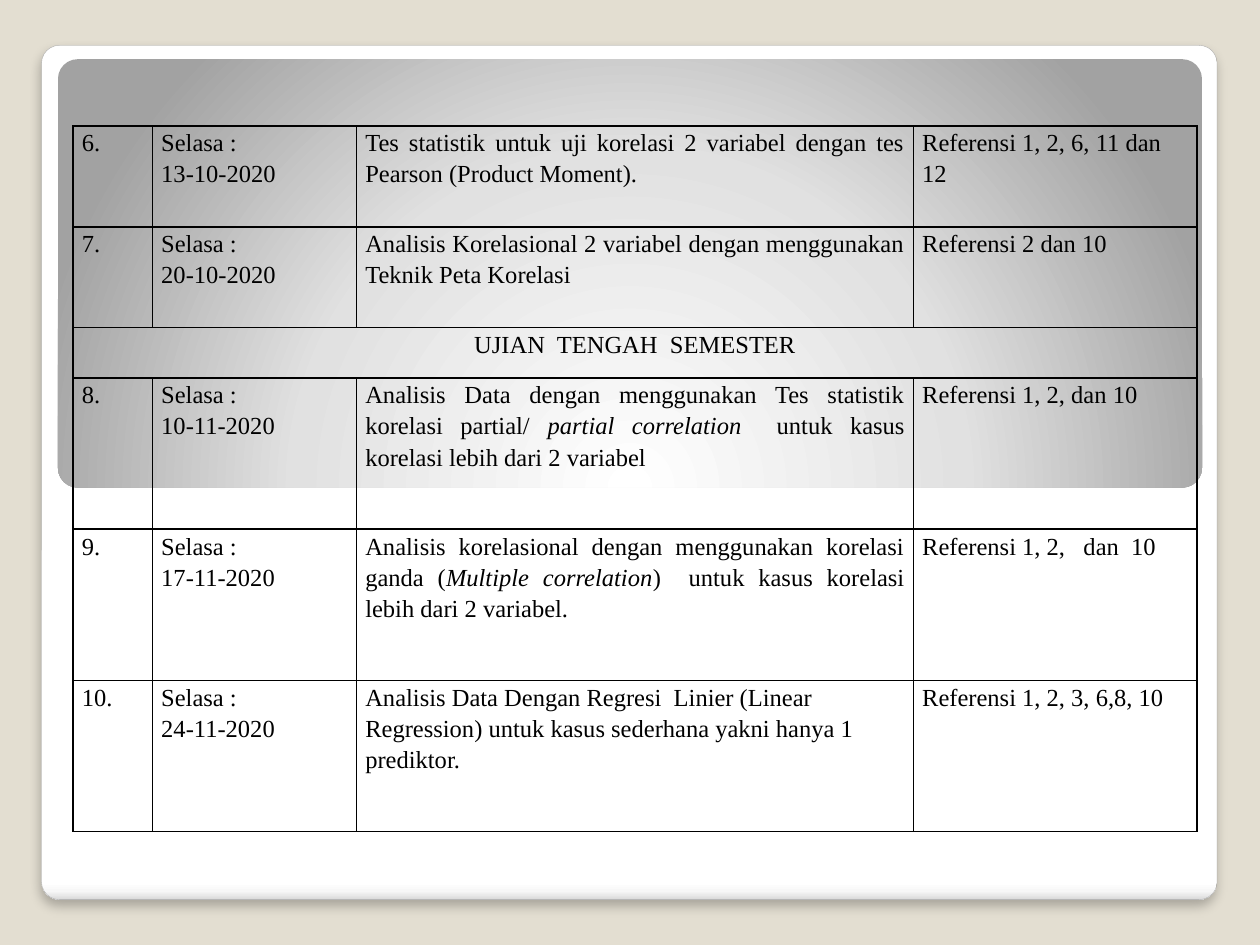
"""Build the lecture schedule slide with weeks 6 to 10 and the midterm exam row."""
from lxml.etree import SubElement
from pptx import Presentation
from pptx.dml.color import RGBColor
from pptx.enum.shapes import MSO_SHAPE
from pptx.enum.text import PP_ALIGN
from pptx.oxml import parse_xml
from pptx.oxml.ns import nsdecls, qn
from pptx.util import Inches, Pt

BEIGE = RGBColor(0xE3, 0xDE, 0xD1)
GREY = RGBColor(0xA4, 0xA4, 0xA4)
BLACK = RGBColor(0, 0, 0)
FONT = "Times New Roman"


def add_panel(s, box, radius, stops, direction):
    sp = s.shapes.add_shape(MSO_SHAPE.ROUNDED_RECTANGLE, *map(Inches, box))
    sp.adjustments[0] = radius
    sp.shadow.inherit = False
    sp.line.fill.background()
    gs = "".join(f'<a:gs pos="{pos * 1000}"><a:srgbClr val="{color}"/></a:gs>' for pos, color in stops)
    grad = parse_xml(f'<a:gradFill {nsdecls("a")} rotWithShape="1"><a:gsLst>{gs}</a:gsLst>{direction}</a:gradFill>')
    sp._element.spPr.find(qn("a:prstGeom")).addnext(grad)
    return sp


def add_borders(cell):
    tcPr = cell._tc.get_or_add_tcPr()
    for side in ("lnL", "lnR", "lnT", "lnB"):
        ln = SubElement(tcPr, qn(f"a:{side}"), w=str(Pt(1)))
        fill = SubElement(ln, qn("a:solidFill"))
        SubElement(fill, qn("a:srgbClr"), val=str(BLACK))


prs = Presentation()
prs.slide_width, prs.slide_height = Inches(10), Inches(7.5)
s = prs.slides.add_slide(prs.slide_layouts[6])
s.background.fill.solid()
s.background.fill.fore_color.rgb = BEIGE

card = add_panel(s, (0.33, 0.36, 9.33, 6.78), 0.021,
                 [(0, "FFFFFF"), (98, "FFFFFF"), (99, "F7F7F7"), (100, "DADADA")],
                 '<a:lin ang="5400000" scaled="0"/>')
card.line.color.rgb = GREY
card.line.width = Pt(0.16)
effects = card._element.spPr.find(qn("a:effectLst"))
shadow = SubElement(effects, qn("a:outerShdw"), blurRad=str(Pt(6)), dist=str(Pt(4)),
                    dir="5400000", algn="tl", rotWithShape="0")
SubElement(SubElement(shadow, qn("a:srgbClr"), val=str(BLACK)), qn("a:alpha"), val="25000")

add_panel(s, (0.46, 0.47, 9.08, 3.4), 0.046,
          [(0, "FFFFFF"), (55, "E1E1E1"), (100, "A2A2A2")],
          '<a:path path="circle"><a:fillToRect l="50000" t="175000" r="50000" b="-75000"/></a:path>')

COLS = [0.63, 1.62, 4.42, 2.25]
ROWS = [0.8, 0.8, 0.4, 1.2, 1.2, 1.2]
EXAM_ROW = 2
LEFT_ALIGNED = {(0, 3), (5, 2)}
SCHEDULE = [
    ("6.", "Selasa :\n13-10-2020",
     "Tes statistik untuk uji korelasi 2 variabel dengan tes Pearson (Product Moment).",
     "Referensi 1, 2, 6, 11 dan 12"),
    ("7.", "Selasa :\n20-10-2020",
     "Analisis Korelasional 2 variabel dengan menggunakan Teknik Peta Korelasi",
     "Referensi 2 dan 10"),
    ("UJIAN  TENGAH  SEMESTER", "", "", ""),
    ("8.", "Selasa : \n10-11-2020",
     "Analisis Data dengan menggunakan Tes statistik korelasi partial/ "
     "*partial correlation  *untuk kasus korelasi lebih dari 2 variabel",
     "Referensi 1, 2, dan 10"),
    ("9.", "Selasa : \n17-11-2020",
     "Analisis korelasional dengan menggunakan korelasi ganda "
     "(*Multiple correlation*)  untuk kasus korelasi lebih dari 2 variabel.",
     "Referensi 1, 2,   dan  10"),
    ("10.", "Selasa : \n24-11-2020",
     "Analisis Data Dengan Regresi  Linier (Linear Regression) "
     "untuk kasus sederhana yakni hanya 1 prediktor. ",
     "Referensi 1, 2, 3, 6,8, 10  "),
]

table = s.shapes.add_table(len(ROWS), len(COLS), Inches(0.58), Inches(1),
                           Inches(sum(COLS)), Inches(sum(ROWS))).table
table.first_row = table.horz_banding = False
for col, width in zip(table.columns, COLS):
    col.width = Inches(width)
for row, height in zip(table.rows, ROWS):
    row.height = Inches(height)
table.cell(EXAM_ROW, 0).merge(table.cell(EXAM_ROW, len(COLS) - 1))

for i, entry in enumerate(SCHEDULE):
    for j, text in enumerate(entry):
        cell = table.cell(i, j)
        cell.margin_left = cell.margin_right = Inches(0.07)
        cell.margin_top = cell.margin_bottom = 0
        add_borders(cell)
        cell.fill.background()
        if cell.is_spanned:
            continue
        tf = cell.text_frame
        tf.text = text.replace("*", "") if "*" not in text else ""
        if "*" in text:
            for k, part in enumerate(text.split("*")):
                r = tf.paragraphs[0].add_run()
                r.text = part
                r.font.italic = k % 2 == 1
        for p in tf.paragraphs:
            p.line_spacing = 1.15
            p.alignment = PP_ALIGN.LEFT if (i, j) in LEFT_ALIGNED else PP_ALIGN.JUSTIFY
            if i == EXAM_ROW:
                p.alignment = PP_ALIGN.CENTER
            for r in p.runs:
                r.font.name = FONT
                r.font.size = Pt(14)
                r.font.color.rgb = BLACK

prs.save("out.pptx")
